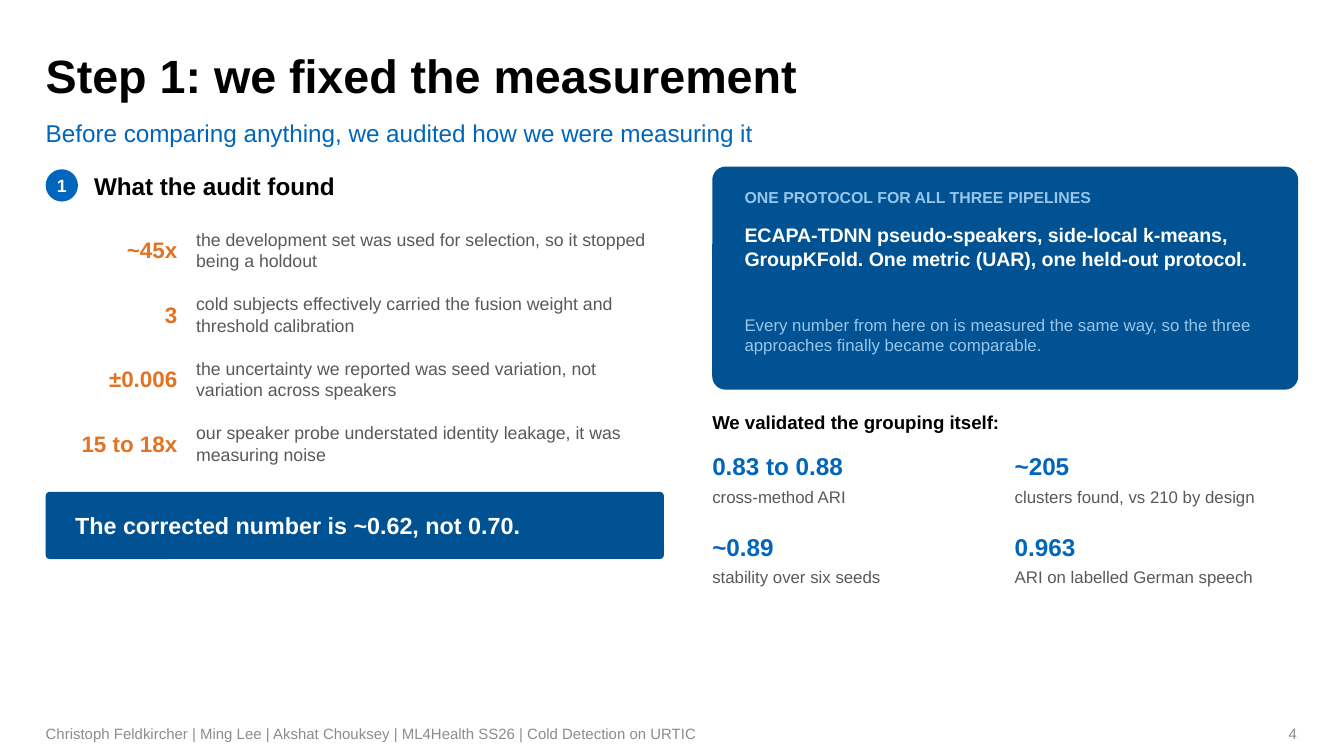
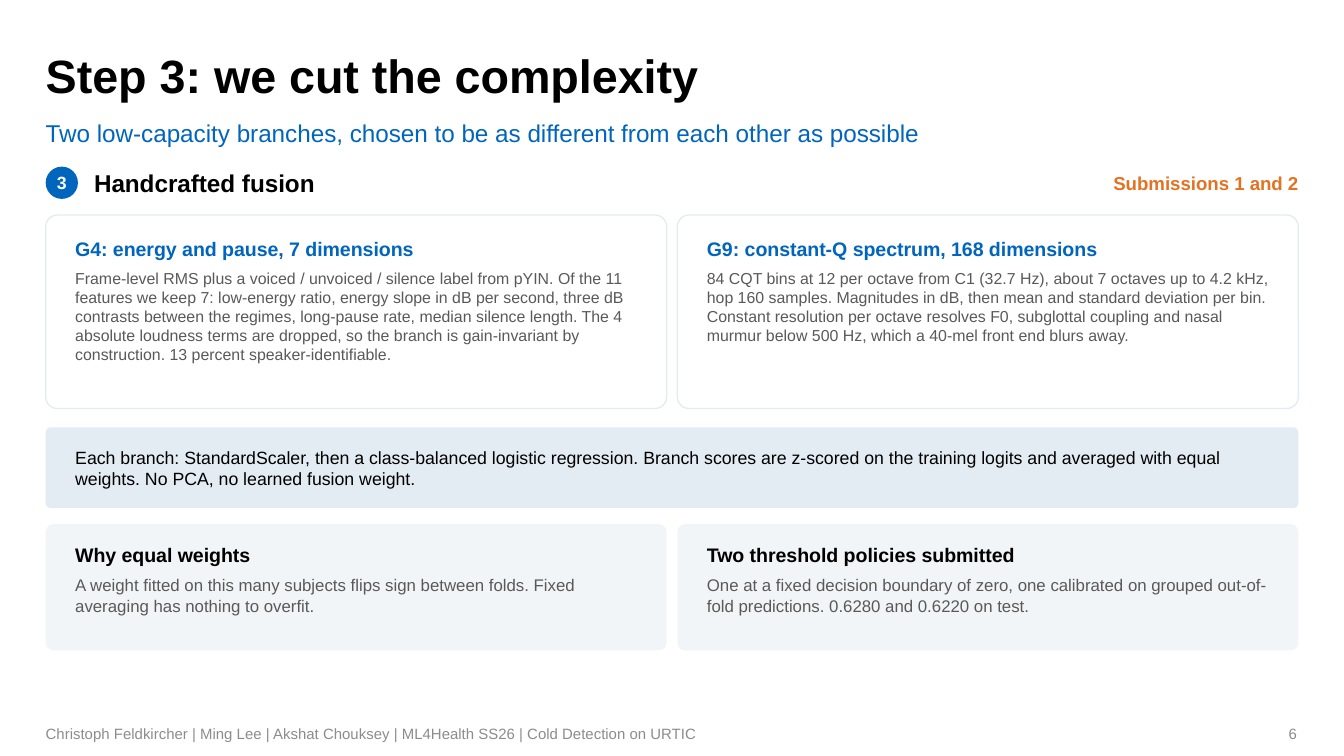
from dataclasses import dataclass

from pptx import Presentation
from pptx.dml.color import RGBColor
from pptx.enum import shapes, text
from pptx.util import Inches, Pt


@dataclass(frozen=True)
class Theme:
    font: str = "Arial"
    black: str = "000000"
    white: str = "FFFFFF"
    blue: str = "0065BD"
    navy: str = "005293"
    sky: str = "98C6EA"
    orange: str = "E37222"
    body: str = "595959"
    muted: str = "8C8C8C"
    mist: str = "E4ECF3"
    pale: str = "F2F5F8"
    title: float = 25
    section: float = 13
    statement: float = 12.5
    figure: float = 12
    heading: float = 10.5
    label: float = 10
    lead: float = 9.5
    copy: float = 9
    small: float = 8.5
    footer: float = 8
    corner: float = 0.06


THEME = Theme()
WIDTH = 10
HEIGHT = WIDTH * 9 / 16
LEFT, CONTENT_WIDTH = 0.34, 9.32
PADDING = 0.22
CARD_WIDTH, CARD_GAP = 4.62, 0.08
LEFT_ALIGN, RIGHT_ALIGN, CENTER_ALIGN = (
    text.PP_ALIGN.LEFT, text.PP_ALIGN.RIGHT, text.PP_ALIGN.CENTER)
TOP, MIDDLE = text.MSO_ANCHOR.TOP, text.MSO_ANCHOR.MIDDLE
FOOTER = "Christoph Feldkircher | Ming Lee | Akshat Chouksey | ML4Health SS26 | Cold Detection on URTIC"


def write(shape, words, size, color, bold=False, align=LEFT_ALIGN, anchor=TOP,
          top_inset=0, line_spacing=None):
    frame = shape.text_frame
    frame.text = words
    frame.word_wrap = True
    frame.auto_size = text.MSO_AUTO_SIZE.NONE
    frame.vertical_anchor = anchor
    frame.margin_left = frame.margin_right = frame.margin_bottom = 0
    frame.margin_top = Inches(top_inset)
    paragraph = frame.paragraphs[0]
    paragraph.alignment = align
    if line_spacing:
        paragraph.line_spacing = Pt(line_spacing)
    paragraph.font.name = THEME.font
    paragraph.font.size = Pt(size)
    paragraph.font.bold = bold
    paragraph.font.color.rgb = RGBColor.from_string(color)


def add_text(slide, box, words, size, color, **style):
    shape = slide.shapes.add_textbox(*map(Inches, box))
    write(shape, words, size, color, **style)


def add_panel(slide, box, fill, line=None, kind=shapes.MSO_SHAPE.ROUNDED_RECTANGLE):
    shape = slide.shapes.add_shape(kind, *map(Inches, box))
    shape.shadow.inherit = False
    if kind == shapes.MSO_SHAPE.ROUNDED_RECTANGLE:
        shape.adjustments[0] = THEME.corner
    shape.fill.solid()
    shape.fill.fore_color.rgb = RGBColor.from_string(fill)
    if line:
        shape.line.color.rgb = RGBColor.from_string(line)
        shape.line.width = Pt(0.75)
    else:
        shape.line.fill.background()
    return shape


def add_frame(presentation, title, subtitle, number):
    slide = presentation.slides.add_slide(presentation.slide_layouts.get_by_name("Title Only"))
    heading = slide.shapes.title
    heading.left, heading.top, heading.width, heading.height = map(
        Inches, (LEFT, 0.32, 9.31, 0.42))
    write(heading, title, THEME.title, THEME.black, bold=True, line_spacing=32)
    add_text(slide, (LEFT, 0.75, 9.31, 0.35), subtitle, THEME.section, THEME.blue,
             top_inset=0.1, line_spacing=18)
    add_text(slide, (LEFT, 5.31, 7.07, 0.3), FOOTER, THEME.footer, THEME.muted, anchor=MIDDLE)
    add_text(slide, (7.41, 5.31, 2.24, 0.3), str(number), THEME.footer, THEME.muted,
             align=RIGHT_ALIGN, anchor=MIDDLE)
    return slide


def add_section_heading(slide, left, top, number, words):
    size = 0.24
    badge = add_panel(slide, (left, top, size, size), THEME.blue, kind=shapes.MSO_SHAPE.OVAL)
    write(badge, str(number), THEME.lead, THEME.white, bold=True,
          align=CENTER_ALIGN, anchor=MIDDLE)
    add_text(slide, (left + 0.36, top, 4.3, size), words, THEME.section, THEME.black,
             bold=True, anchor=MIDDLE)


def add_findings(slide, left, top, findings):
    for row, (figure, finding) in enumerate(findings):
        y = top + row * 0.48
        add_text(slide, (left, y, 0.98, 0.4), figure, THEME.figure, THEME.orange,
                 bold=True, align=RIGHT_ALIGN, anchor=MIDDLE)
        add_text(slide, (left + 1.12, y, 3.5, 0.4), finding, THEME.lead, THEME.body,
                 anchor=MIDDLE)


def add_banner(slide, box, words, fill, size, color, bold=False):
    left, top, width, height = box
    add_panel(slide, box, fill)
    add_text(slide, (left + PADDING, top, width - 2 * PADDING, height), words, size, color,
             bold=bold, anchor=MIDDLE)


def add_protocol(slide, box, label, statement, note):
    left, top, width, height = box
    add_panel(slide, box, THEME.navy)
    for offset, line_height, words, size, color, bold in (
        (0.16, 0.2, label, THEME.small, THEME.sky, True),
        (0.42, 0.56, statement, THEME.heading, THEME.white, True),
        (1.1, 0.44, note, THEME.copy, THEME.sky, False),
    ):
        add_text(slide, (left + 0.24, top + offset, width - 0.46, line_height),
                 words, size, color, bold=bold)


def add_validation(slide, left, top, heading, metrics):
    add_text(slide, (left, top, 4.3, 0.22), heading, THEME.label, THEME.black, bold=True)
    for index, (value, caption) in enumerate(metrics):
        row, column = divmod(index, 2)
        x, y = left + column * 2.25, top + 0.3 + row * 0.6
        add_text(slide, (x, y, 2.1, 0.24), value, THEME.section, THEME.blue, bold=True)
        add_text(slide, (x, y + 0.26, 2.1, 0.3), caption, THEME.copy, THEME.body)


def add_cards(slide, top, height, cards, fill, line, heading_color, body_size, inset):
    for column, (heading, body) in enumerate(cards):
        left = LEFT + column * (CARD_WIDTH + CARD_GAP)
        add_panel(slide, (left, top, CARD_WIDTH, height), fill, line)
        add_text(slide, (left + PADDING, top + inset, 4.2, 0.2), heading,
                 THEME.heading, heading_color, bold=True)
        body_top = inset + 0.24
        add_text(slide, (left + PADDING, top + body_top, 4.24, height - body_top - 0.06),
                 body, body_size, THEME.body)


def build_measurement(presentation):
    slide = add_frame(presentation, "Step 1: we fixed the measurement",
                      "Before comparing anything, we audited how we were measuring it", 4)
    add_section_heading(slide, LEFT, 1.26, 1, "What the audit found")
    add_findings(slide, LEFT, 1.66, (
        ("~45x", "the development set was used for selection, so it stopped being a holdout"),
        ("3", "cold subjects effectively carried the fusion weight and threshold calibration"),
        ("±0.006", "the uncertainty we reported was seed variation, not variation across speakers"),
        ("15 to 18x", "our speaker probe understated identity leakage, it was measuring noise"),
    ))
    add_banner(slide, (LEFT, 3.66, 4.6, 0.5), "The corrected number is ~0.62, not 0.70.",
               THEME.navy, THEME.statement, THEME.white, bold=True)
    add_protocol(
        slide, (5.3, 1.24, 4.36, 1.66), "ONE PROTOCOL FOR ALL THREE PIPELINES",
        "ECAPA-TDNN pseudo-speakers, side-local k-means, GroupKFold. "
        "One metric (UAR), one held-out protocol.",
        "Every number from here on is measured the same way, so the three "
        "approaches finally became comparable.")
    add_validation(slide, 5.3, 3.06, "We validated the grouping itself:", (
        ("0.83 to 0.88", "cross-method ARI"),
        ("~205", "clusters found, vs 210 by design"),
        ("~0.89", "stability over six seeds"),
        ("0.963", "ARI on labelled German speech"),
    ))


def build_complexity(presentation):
    slide = add_frame(
        presentation, "Step 3: we cut the complexity",
        "Two low-capacity branches, chosen to be as different from each other as possible", 6)
    add_section_heading(slide, LEFT, 1.24, 3, "Handcrafted fusion")
    add_text(slide, (7.55, 1.24, 2.11, 0.24), "Submissions 1 and 2", THEME.label, THEME.orange,
             bold=True, align=RIGHT_ALIGN, anchor=MIDDLE)
    add_cards(slide, 1.6, 1.44, (
        ("G4: energy and pause, 7 dimensions",
         "Frame-level RMS plus a voiced / unvoiced / silence label from pYIN. Of the 11 "
         "features we keep 7: low-energy ratio, energy slope in dB per second, three dB "
         "contrasts between the regimes, long-pause rate, median silence length. The 4 "
         "absolute loudness terms are dropped, so the branch is gain-invariant by "
         "construction. 13 percent speaker-identifiable."),
        ("G9: constant-Q spectrum, 168 dimensions",
         "84 CQT bins at 12 per octave from C1 (32.7 Hz), about 7 octaves up to 4.2 kHz, "
         "hop 160 samples. Magnitudes in dB, then mean and standard deviation per bin. "
         "Constant resolution per octave resolves F0, subglottal coupling and nasal "
         "murmur below 500 Hz, which a 40-mel front end blurs away."),
    ), THEME.white, THEME.mist, THEME.blue, THEME.small, 0.16)
    add_banner(
        slide, (LEFT, 3.18, CONTENT_WIDTH, 0.6),
        "Each branch: StandardScaler, then a class-balanced logistic regression. Branch "
        "scores are z-scored on the training logits and averaged with equal weights. "
        "No PCA, no learned fusion weight.", THEME.mist, THEME.lead, THEME.black)
    add_cards(slide, 3.9, 0.94, (
        ("Why equal weights",
         "A weight fitted on this many subjects flips sign between folds. "
         "Fixed averaging has nothing to overfit."),
        ("Two threshold policies submitted",
         "One at a fixed decision boundary of zero, one calibrated on grouped "
         "out-of-fold predictions. 0.6280 and 0.6220 on test."),
    ), THEME.pale, None, THEME.black, THEME.copy, 0.14)


def main():
    presentation = Presentation()
    presentation.slide_width = Inches(WIDTH)
    presentation.slide_height = Inches(HEIGHT)
    build_measurement(presentation)
    build_complexity(presentation)
    presentation.save("out.pptx")


if __name__ == "__main__":
    main()
